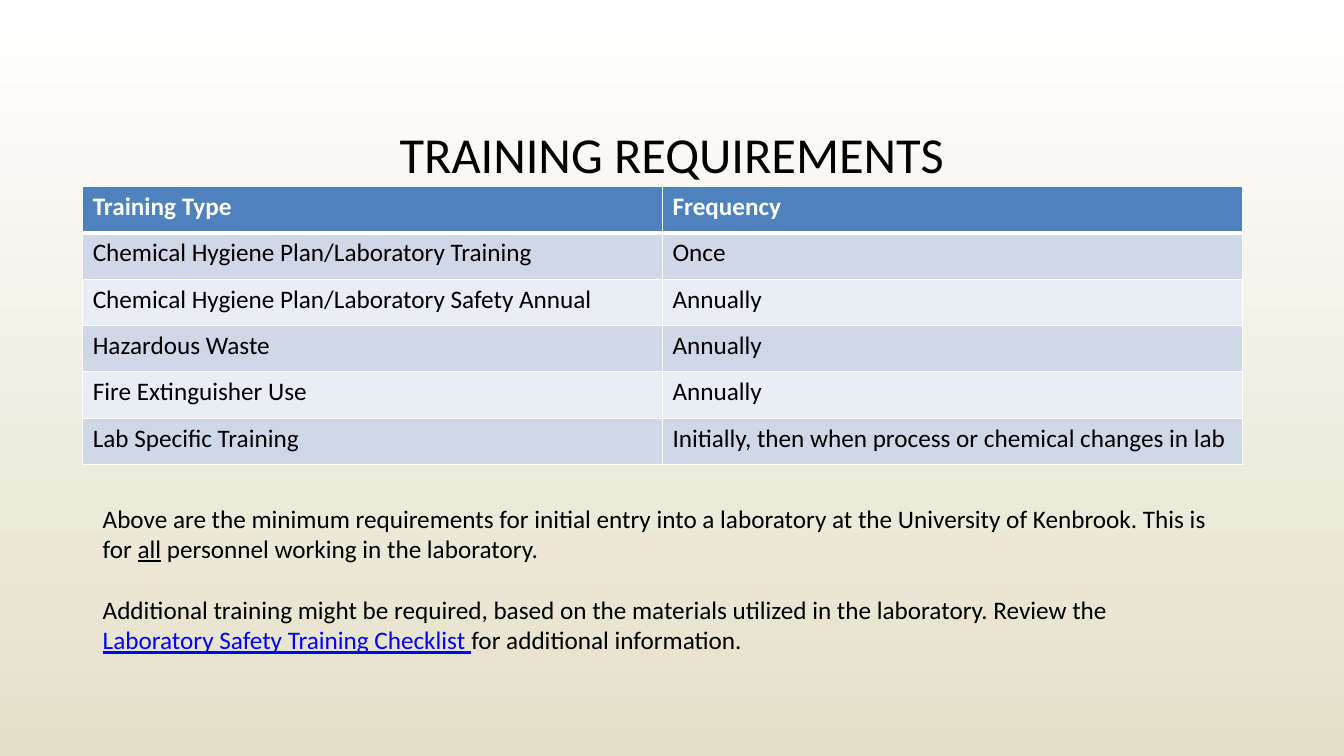
from dataclasses import dataclass
from lxml.etree import SubElement
from pptx import Presentation
from pptx.dml.color import RGBColor
from pptx.enum.text import MSO_ANCHOR, PP_ALIGN
from pptx.oxml.ns import qn
from pptx.util import Inches, Pt


@dataclass(frozen=True)
class Theme:
    """Hold the colours, font and type sizes of the slide."""
    face: str = "Calibri"
    head: int = 36
    text: int = 18
    ink: str = "000000"
    white: str = "FFFFFF"
    sand: str = "E4E0C9"
    blue: str = "4F81BD"
    bands: tuple = ("D0D8E8", "E9EDF4")
    link: str = "0000FF"


THEME = Theme()
TITLE = "TRAINING REQUIREMENTS"
ROWS = [
    ("Training Type", "Frequency"),
    ("Chemical Hygiene Plan/Laboratory Training", "Once"),
    ("Chemical Hygiene Plan/Laboratory Safety Annual", "Annually"),
    ("Hazardous Waste", "Annually"),
    ("Fire Extinguisher Use", "Annually"),
    ("Lab Specific Training",
     "Initially, then when process or chemical changes in lab"),
]
NOTES = [
    [("Above are the minimum requirements for initial entry into a "
      "laboratory at the University of Kenbrook. This is for ", None),
     ("all", THEME.ink),
     (" personnel working in the laboratory.", None)],
    [("Additional training might be required, based on the materials "
      "utilized in the laboratory. Review the ", None),
     ("Laboratory Safety Training Checklist ", THEME.link),
     ("for additional information.", None)],
]


def set_font(font, size, color, bold=False):
    """Apply the theme face with a size, colour and weight."""
    font.name, font.size, font.bold = THEME.face, Pt(size), bold
    font.color.rgb = RGBColor.from_string(color)


def set_back(slide):
    """Fade the background from white down to sand."""
    fill = slide.background.fill
    fill.gradient()
    fill.gradient_angle = 270
    for stop, place, color in zip(fill.gradient_stops, (0, 1),
                                  (THEME.white, THEME.sand)):
        stop.position = place
        stop.color.rgb = RGBColor.from_string(color)


def add_title(slide, text, box):
    """Place and format the title."""
    title = slide.shapes.title
    title.left, title.top, title.width, title.height = map(Inches, box)
    frame = title.text_frame
    frame.text, frame.vertical_anchor = text, MSO_ANCHOR.MIDDLE
    para = frame.paragraphs[0]
    para.alignment, para.line_spacing = PP_ALIGN.CENTER, 0.9
    set_font(para.font, THEME.head, THEME.ink)


def set_edges(cell, top, base):
    """Draw white cell borders with given top and bottom widths."""
    props = cell._tc.get_or_add_tcPr()
    for side, width in (("L", 1), ("R", 1), ("T", top), ("B", base)):
        line = SubElement(props, qn(f"a:ln{side}"), w=str(Pt(width)))
        fill = SubElement(line, qn("a:solidFill"))
        SubElement(fill, qn("a:srgbClr"), val=THEME.white)


def add_grid(slide, rows, box):
    """Add a table with a header row and banded body rows."""
    table = slide.shapes.add_table(len(rows), len(rows[0]),
                                   *map(Inches, box)).table
    for r, row in enumerate(rows):
        head = r == 0
        shade = THEME.blue if head else THEME.bands[(r - 1) % 2]
        for c, text in enumerate(row):
            cell = table.cell(r, c)
            cell.text = text
            set_font(cell.text_frame.paragraphs[0].font, THEME.text,
                     THEME.white if head else THEME.ink, head)
            set_edges(cell, 3 if r == 1 else 1, 3 if head else 1)
            cell.fill.solid()
            cell.fill.fore_color.rgb = RGBColor.from_string(shade)


def add_notes(slide, notes, box):
    """Add spaced paragraphs whose coloured runs are underlined."""
    frame = slide.shapes.add_textbox(*map(Inches, box)).text_frame
    frame.word_wrap = True
    for i, runs in enumerate(notes):
        para = frame.add_paragraph() if i else frame.paragraphs[0]
        para.space_before = Pt(22 if i else 0)
        set_font(para.font, THEME.text, THEME.ink)
        for text, color in runs:
            run = para.add_run()
            run.text = text
            if color:
                run.font.underline = True
                run.font.color.rgb = RGBColor.from_string(color)


def main():
    """Build and save the slide."""
    deck = Presentation()
    deck.slide_width, deck.slide_height = Inches(13.33), Inches(7.5)
    slide = deck.slides.add_slide(deck.slide_layouts[5])
    set_back(slide)
    add_title(slide, TITLE, (1, 0.68, 11.33, 1.75))
    add_grid(slide, ROWS, (0.82, 1.85, 11.5, 2.76))
    add_notes(slide, NOTES, (0.92, 4.94, 11.21, 2.22))
    deck.save("out.pptx")


main()
